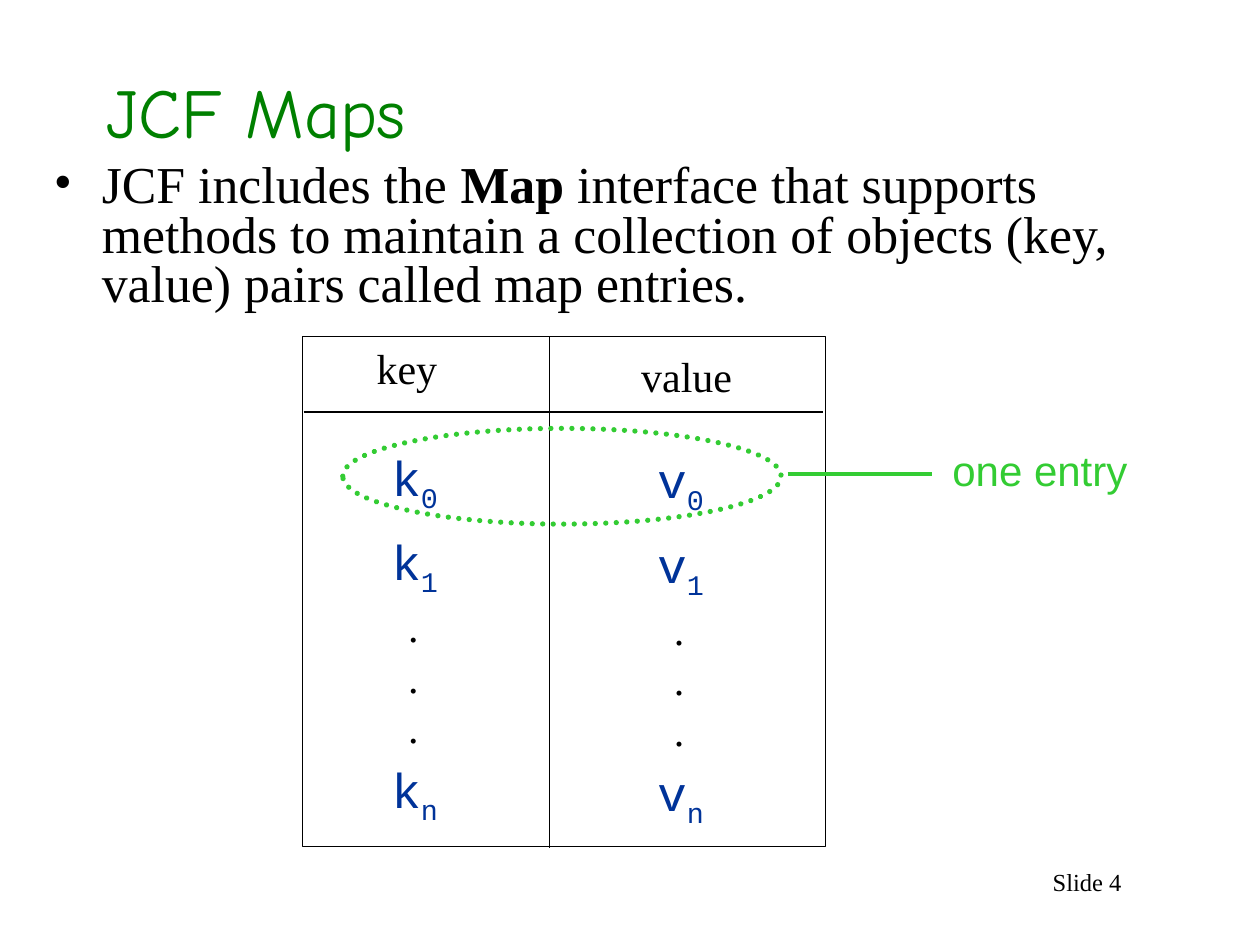
import pptx
import pptx.util
import pptx.dml.color
import pptx.enum.dml
import pptx.enum.shapes
import pptx.enum.text
import pptx.oxml
import pptx.oxml.ns
import lxml.etree

SCALE = 9144  # EMU per px, 100 px to the inch
SERIF, MONO, SANS = "Times New Roman", "Courier New", "Arial"
BLACK, BLUE, GREEN = "000000", "003399", "33CC33"
SHAPE = pptx.enum.shapes.MSO_SHAPE
ALIGN = pptx.enum.text.PP_ALIGN
ANCHOR = pptx.enum.text.MSO_ANCHOR
QN = pptx.oxml.ns.qn


def emu(*px):
    return [pptx.util.Emu(n * SCALE) for n in px]


def tint(hue):
    return pptx.dml.color.RGBColor.from_string(hue)


def add_run(para, text, size, font, hue, bold=False, sub=False):
    run = para.add_run()
    run.text = text
    run.font.size = pptx.util.Pt(size)
    run.font.name = font
    run.font.bold = bold
    run.font.color.rgb = tint(hue)
    if sub:
        run.font._element.set("baseline", "-25000")


def add_text(shapes, box, paras, size, font, hue, wrap=False, align=ALIGN.LEFT,
             anchor=ANCHOR.TOP):
    """Add a text box; each paragraph is a list of (text, run options)."""
    frame = shapes.add_textbox(*emu(*box)).text_frame
    frame.word_wrap = wrap
    frame.vertical_anchor = anchor
    for i, runs in enumerate(paras):
        para = frame.add_paragraph() if i else frame.paragraphs[0]
        para.alignment = align
        for text, opts in runs:
            add_run(para, text, size, font, hue, **opts)
    return frame


def add_line(shapes, ends, hue, width):
    line = shapes.add_connector(pptx.enum.shapes.MSO_CONNECTOR.STRAIGHT, *emu(*ends))
    line.line.color.rgb = tint(hue)
    line.line.width = pptx.util.Pt(width)
    lxml.etree.SubElement(line._element.spPr, QN("a:effectLst"))


def add_frame(shapes, kind, box, hue, width):
    """Add an unfilled outline shape."""
    shape = shapes.add_shape(kind, *emu(*box))
    shape.shadow.inherit = False
    shape.fill.background()
    shape.line.color.rgb = tint(hue)
    shape.line.width = pptx.util.Pt(width)
    return shape


def add_title(shapes, box):
    add_text(shapes, box, [[("JCF Maps", {})]], 40, "Comic Neue", "008000",
             wrap=True, anchor=ANCHOR.MIDDLE)


def add_body(shapes, box):
    runs = [
        ("JCF includes the ", {}),
        ("Map", {"bold": True}),
        (" interface that supports methods to maintain a collection of objects "
         "(key, value) pairs called map entries.", {}),
    ]
    para = add_text(shapes, box, [runs], 29.6, SERIF, BLACK, wrap=True).paragraphs[0]
    para.line_spacing = 0.8
    para.space_before = pptx.util.Pt(8)
    props = para._element.get_or_add_pPr()
    indent = emu(38)[0]
    props.set("marL", str(indent))
    props.set("indent", str(-indent))
    lxml.etree.SubElement(props, QN("a:buFont")).set("typeface", SERIF)
    lxml.etree.SubElement(props, QN("a:buChar")).set("char", "•")


def add_column(shapes, x, y, letter):
    """Stack the entries 0, 1, ..., n of one column from its first entry's corner."""
    for sub, drop in (("0", 0), ("1", 67), ("n", 248)):
        runs = [(letter, {}), (sub, {"sub": True})]
        add_text(shapes, (x, y + drop, 57, 63), [runs], 28, MONO, BLUE)
    add_text(shapes, (x + 13, y + 122, 28, 130), [[(".", {})]] * 3, 24, SERIF, BLACK)


def add_map(shapes, box):
    x, y, w, h = box
    add_frame(shapes, SHAPE.RECTANGLE, box, BLACK, 0.75)
    add_line(shapes, (x + 1, y + 60, x + w - 2, y + 60), BLACK, 0.75)
    add_line(shapes, (x + 196, y, x + 196, y + h + 1), BLACK, 0.75)
    add_text(shapes, (x + 49, y, 68, 50), [[("key", {})]], 24, SERIF, BLACK)
    add_text(shapes, (x + 259, y + 6, 92, 50), [[("value", {})]], 24, SERIF, BLACK)
    add_column(shapes, x + 61, y + 83, "k")
    add_column(shapes, x + 272, y + 85, "v")


def add_callout(shapes, box):
    """Ring one entry and label it on the right."""
    x, y, w, h = box
    ring = add_frame(shapes, SHAPE.OVAL, box, GREEN, 3)
    ring.line.dash_style = pptx.enum.dml.MSO_LINE.ROUND_DOT
    ring.line._get_or_add_ln().set("cap", "rnd")
    add_text(shapes, (x + 474, y + 8, 159, 50), [[("one entry", {})]], 24, SANS, GREEN)
    add_line(shapes, (x + w + 5, y + 36, x + 468, y + 36), GREEN, 2.25)


def add_number(shapes, box):
    add_text(shapes, box, [[("Slide 4", {})]], 14, SERIF, BLACK,
             wrap=True, align=ALIGN.RIGHT)


def main():
    deck = pptx.Presentation()
    deck.slide_width, deck.slide_height = emu(1000, 750)
    shapes = deck.slides.add_slide(deck.slide_layouts[6]).shapes
    add_number(shapes, (692, 683, 208, 50))
    add_title(shapes, (75, 50, 850, 75))
    add_body(shapes, (33, 125, 933, 139))
    add_map(shapes.add_group_shape().shapes, (240, 267, 415, 405))
    add_callout(shapes.add_group_shape().shapes, (272, 340, 348, 76))
    deck.save("out.pptx")


if __name__ == "__main__":
    main()
